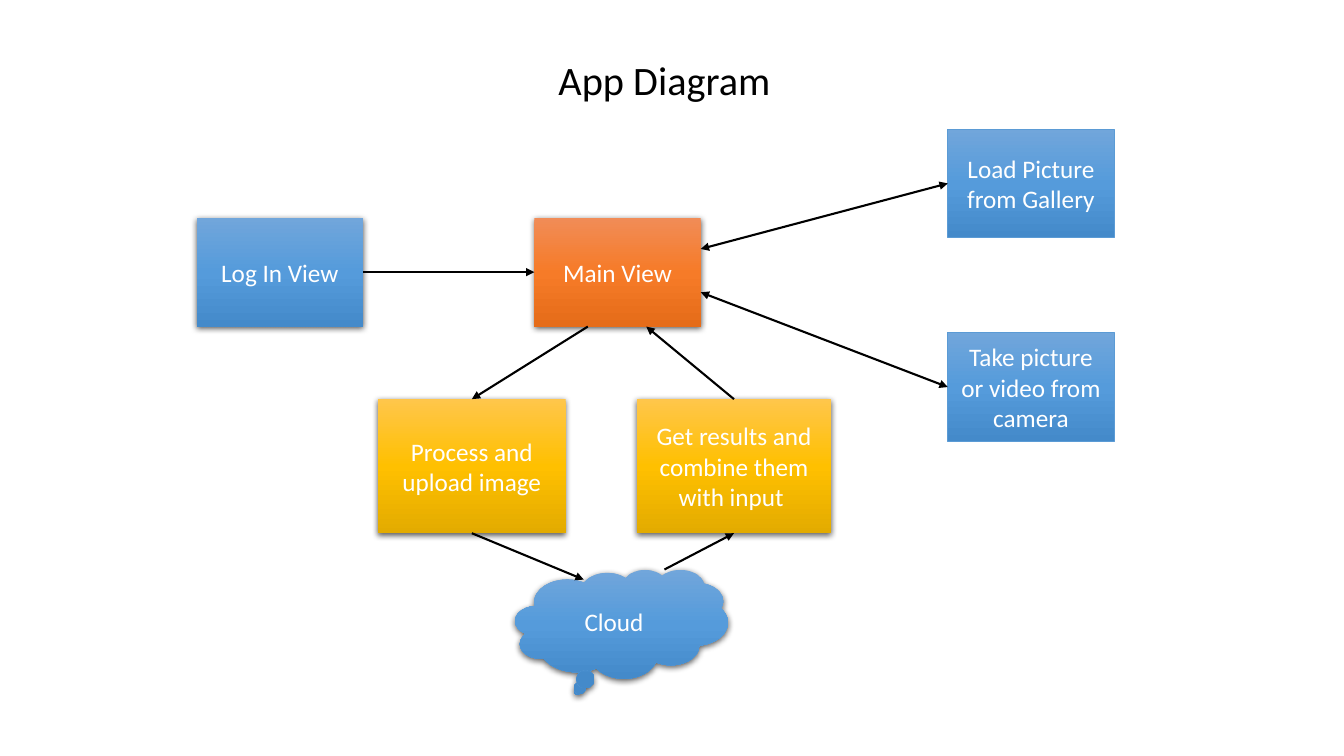
from copy import deepcopy
from lxml.etree import SubElement
from pptx import Presentation
from pptx.dml.color import RGBColor
from pptx.enum.shapes import MSO_CONNECTOR, MSO_SHAPE
from pptx.enum.text import MSO_ANCHOR, MSO_AUTO_SIZE, PP_ALIGN
from pptx.oxml.ns import qn
from pptx.util import Emu, Pt

TOP, LEFT, BOTTOM, RIGHT = range(4)
BLUE = ("71A6DB", "559BDB", "448ACA")
ORANGE = ("F18C57", "F67B28", "E56C19")
GOLD = ("FFC64B", "FFC000", "E3AB00")


def px(count):
    return Emu(count * 9144)


def color(code):
    return RGBColor.from_string(code)


class Board:
    font = "Calibri"
    ink = "000000"
    pale = "FFFFFF"
    edge = "5B9BD5"

    def __init__(self, deck):
        self.slide = deck.slides.add_slide(deck.slide_layouts[0])
        self.shapes = self.slide.shapes

    def label(self, shape, text, size, code, anchor):
        frame = shape.text_frame
        frame.text = text
        frame.word_wrap = True
        frame.auto_size = MSO_AUTO_SIZE.NONE
        frame.vertical_anchor = anchor
        line = frame.paragraphs[0]
        line.alignment = PP_ALIGN.CENTER
        font = line.runs[0].font
        font.name = self.font
        font.size = Pt(size)
        font.color.rgb = color(code)
        return line

    def title(self, text, x, y, w, h):
        shape = self.shapes.title
        shape.left, shape.top, shape.width, shape.height = map(px, (x, y, w, h))
        line = self.label(shape, text, 28.8, self.ink, MSO_ANCHOR.BOTTOM)
        line.line_spacing = 0.9
        rest = self.slide.placeholders[1].element
        rest.getparent().remove(rest)

    def blend(self, shape, tones):
        fill = shape.fill
        fill.gradient()
        fill.gradient_angle = 270
        stops = shape.element.spPr.find(qn("a:gradFill")).find(qn("a:gsLst"))
        stops.insert(1, deepcopy(stops[0]))
        for stop, place, tone in zip(fill.gradient_stops, (0, 0.5, 1), tones):
            stop.position = place
            stop.color.rgb = color(tone)

    def shade(self, shape):
        effect = shape.element.spPr.find(qn("a:effectLst"))
        outer = SubElement(effect, qn("a:outerShdw"), blurRad=str(Pt(4.5)),
                           dist=str(Pt(1.5)), dir="5400000", algn="ctr",
                           rotWithShape="0")
        tint = SubElement(outer, qn("a:srgbClr"), val=self.ink)
        SubElement(tint, qn("a:alpha"), val="63000")

    def node(self, text, x, y, w, h, tones, raised=True, kind=MSO_SHAPE.RECTANGLE):
        shape = self.shapes.add_shape(kind, px(x), px(y), px(w), px(h))
        shape.shadow.inherit = False
        self.blend(shape, tones)
        if raised:
            shape.line.fill.background()
            self.shade(shape)
        else:
            shape.line.color.rgb = color(self.edge)
            shape.line.width = Pt(0.5)
        self.label(shape, text, 18, self.pale, MSO_ANCHOR.MIDDLE)
        return shape

    def arrow(self, start, end, both=False):
        spots = []
        for first, second in (start, end):
            if isinstance(first, int):
                spots += [px(first), px(second)]
            else:
                spots += [first.left, first.top]
        line = self.shapes.add_connector(MSO_CONNECTOR.STRAIGHT, *spots)
        for join, tip in ((line.begin_connect, start), (line.end_connect, end)):
            if not isinstance(tip[0], int):
                join(*tip)
        line.line.color.rgb = color(self.ink)
        line.line.width = Pt(1.5)
        props = line.element.spPr
        stroke = props.find(qn("a:ln"))
        for tag in ("a:headEnd", "a:tailEnd") if both else ("a:tailEnd",):
            SubElement(stroke, qn(tag), type="triangle")
        SubElement(props, qn("a:effectLst"))


def main():
    deck = Presentation()
    deck.slide_width, deck.slide_height = px(1333), px(750)
    board = Board(deck)
    board.title("App Diagram", 159, 50, 1000, 58)

    login = board.node("Log In View", 195, 216, 165, 108, BLUE)
    hub = board.node("Main View", 530, 216, 165, 108, ORANGE)
    load = board.node("Load Picture from Gallery", 940, 128, 165, 108, BLUE, False)
    take = board.node("Take picture or video from camera", 940, 330, 165, 108, BLUE, False)
    board.node("Cloud", 511, 565, 211, 108, BLUE, kind=MSO_SHAPE.CLOUD_CALLOUT)
    send = board.node("Process and upload image", 375, 396, 186, 133, GOLD)
    merge = board.node("Get results and combine them with input ", 632, 396, 192, 133, GOLD)

    board.arrow((login, RIGHT), (hub, LEFT))
    board.arrow((695, 247), (load, LEFT), both=True)
    board.arrow((695, 290), (take, LEFT), both=True)
    board.arrow((583, 324), (send, TOP))
    board.arrow((merge, TOP), (641, 324))
    board.arrow((send, BOTTOM), (579, 575))
    board.arrow((659, 565), (merge, BOTTOM))
    deck.save("out.pptx")


if __name__ == "__main__":
    main()
